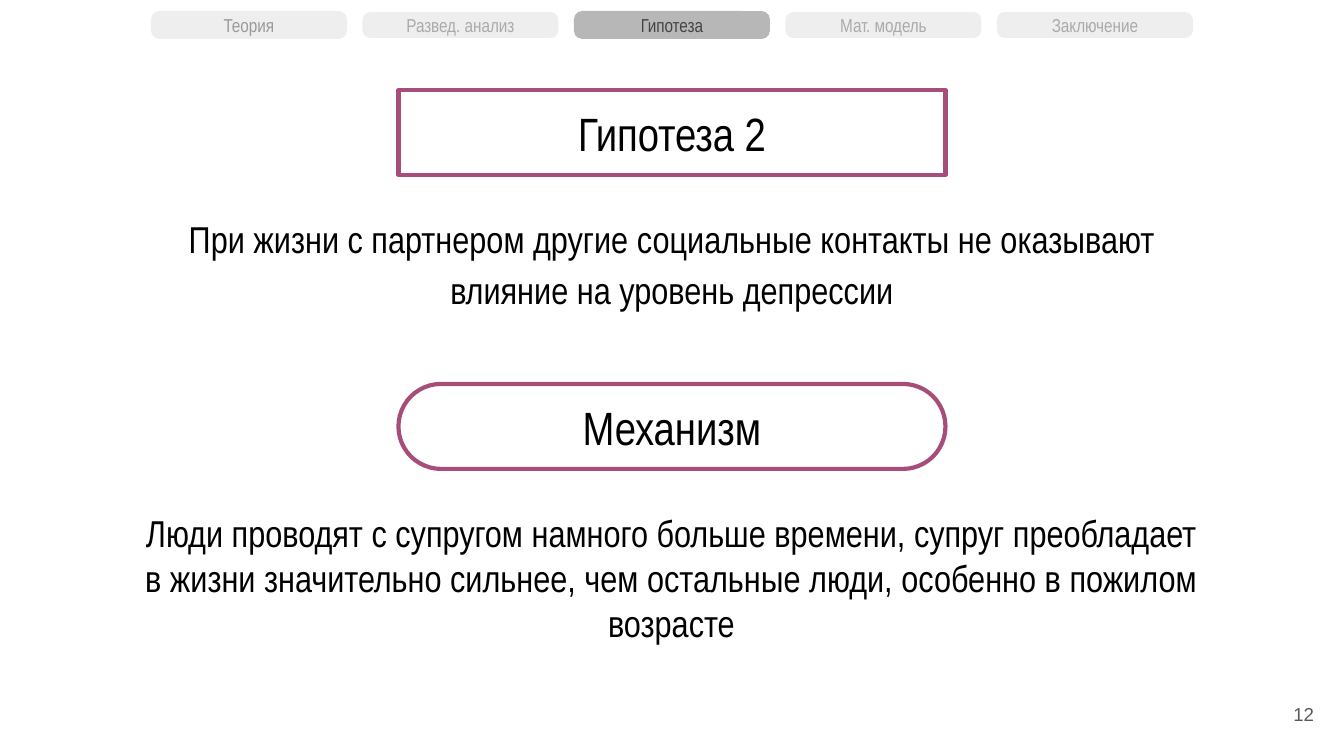
"""Builds the slide on hypothesis 2 and its mechanism, with a section bar on top."""
from copy import deepcopy

from pptx import Presentation
from pptx.dml.color import RGBColor
from pptx.enum.shapes import MSO_SHAPE
from pptx.enum.text import MSO_ANCHOR, MSO_AUTO_SIZE, PP_ALIGN
from pptx.util import Pt

ROUNDED = MSO_SHAPE.ROUNDED_RECTANGLE
TOP, MIDDLE = MSO_ANCHOR.TOP, MSO_ANCHOR.MIDDLE
CENTER, RIGHT = PP_ALIGN.CENTER, PP_ALIGN.RIGHT
NO_FIT = MSO_AUTO_SIZE.NONE

WHITE = RGBColor(0xFF, 0xFF, 0xFF)
BLACK = RGBColor(0x00, 0x00, 0x00)
PLUM = RGBColor(0xA6, 0x4D, 0x79)
PALE = RGBColor(0xEE, 0xEE, 0xEE)
ACTIVE = RGBColor(0xB7, 0xB7, 0xB7)
VISITED_TEXT = RGBColor(0x99, 0x99, 0x99)
MUTED_TEXT = RGBColor(0xAA, 0xAA, 0xAA)
ACTIVE_TEXT = RGBColor(0x43, 0x43, 0x43)
NUMBER_TEXT = RGBColor(0x59, 0x59, 0x59)

NARROW = "Arial Narrow"
SLIDE_W, SLIDE_H = 1344, 756
EMU_PER_PX = 9144000 / SLIDE_W
INSET = 13

SECTIONS = [
    ("Теория", 28, PALE, VISITED_TEXT),
    ("Развед. анализ", 26, PALE, MUTED_TEXT),
    ("Гипотеза", 28, ACTIVE, ACTIVE_TEXT),
    ("Мат. модель", 26, PALE, MUTED_TEXT),
    ("Заключение", 26, PALE, MUTED_TEXT),
]
BAR_LEFT, BAR_RIGHT, BAR_MIDDLE, SECTION_W = 151, 1193, 25, 196

TITLE = "Гипотеза 2"
SUBHEADING = "Механизм"
HEADING_W, HEADING_H = 547, 85
TITLE_TOP, SUBHEADING_TOP = 90, 384

STATEMENTS = [
    ("При жизни с партнером другие социальные контакты не оказывают "
     "влияние на уровень депрессии",
     (150, 196, 1044, 165), {"line_spacing": 1.15, "space_after": Pt(12)}),
    ("Люди проводят с супругом намного больше времени, супруг преобладает "
     "в жизни значительно сильнее, чем остальные люди, особенно в пожилом возрасте",
     (123, 497, 1097, 163), {}),
]
PAGE_NUMBER, NUMBER_BOX = "12", (1246, 685, 81, 58)


def px(length):
    return round(length * EMU_PER_PX)


def emu(box):
    return [px(length) for length in box]


def apply(target, values):
    for name, value in values.items():
        setattr(target, name, value)


def write(holder, text, size, color, font=NARROW, anchor=MIDDLE, align=CENTER, spacing=()):
    frame = holder.text_frame
    margins = {f"margin_{side}": px(INSET) for side in ("left", "top", "right", "bottom")}
    apply(frame, {"text": text, "word_wrap": True, "auto_size": NO_FIT,
                  "vertical_anchor": anchor, **margins})
    paragraph = frame.paragraphs[0]
    apply(paragraph, {"alignment": align, **dict(spacing)})
    apply(paragraph.runs[0].font, {"name": font, "size": Pt(size), "bold": False})
    paragraph.runs[0].font.color.rgb = color


def paint(holder, fill, line=None):
    holder.fill.solid()
    holder.fill.fore_color.rgb = fill
    if line is None:
        holder.line.fill.background()
    else:
        holder.line.color.rgb = line
        holder.line.width = Pt(2.25)


def add_rounded(slide, box, roundness):
    rounded = slide.shapes.add_shape(ROUNDED, *emu(box))
    rounded.adjustments[0] = roundness
    rounded.shadow.inherit = False
    return rounded


def add_headings(slide):
    left = (SLIDE_W - HEADING_W) / 2
    subheading = add_rounded(slide, (left, SUBHEADING_TOP, HEADING_W, HEADING_H), 0.5)
    title = slide.shapes.title
    position = emu((left, TITLE_TOP, HEADING_W, HEADING_H))
    apply(title, dict(zip(("left", "top", "width", "height"), position)))
    outline = subheading._element.spPr.prstGeom
    title._element.spPr.append(deepcopy(outline))
    for heading, text in ((title, TITLE), (subheading, SUBHEADING)):
        paint(heading, WHITE, PLUM)
        write(heading, text, 25, BLACK)


def add_section_bar(slide):
    pitch = (BAR_RIGHT - BAR_LEFT - SECTION_W) / (len(SECTIONS) - 1)
    for index, (name, height, fill, color) in enumerate(SECTIONS):
        box = (BAR_LEFT + index * pitch, BAR_MIDDLE - height / 2, SECTION_W, height)
        section = add_rounded(slide, box, 0.3)
        paint(section, fill)
        write(section, name, 10, color)


def main():
    deck = Presentation()
    apply(deck, {"slide_width": px(SLIDE_W), "slide_height": px(SLIDE_H)})
    slide = deck.slides.add_slide(deck.slide_layouts.get_by_name("Title Only"))
    add_headings(slide)
    for text, box, spacing in STATEMENTS:
        statement = slide.shapes.add_textbox(*emu(box))
        write(statement, text, 20, BLACK, anchor=TOP, spacing=spacing)
    add_section_bar(slide)
    number = slide.shapes.add_textbox(*emu(NUMBER_BOX))
    write(number, PAGE_NUMBER, 10, NUMBER_TEXT, font="Arial", align=RIGHT)
    deck.save("out.pptx")


if __name__ == "__main__":
    main()
